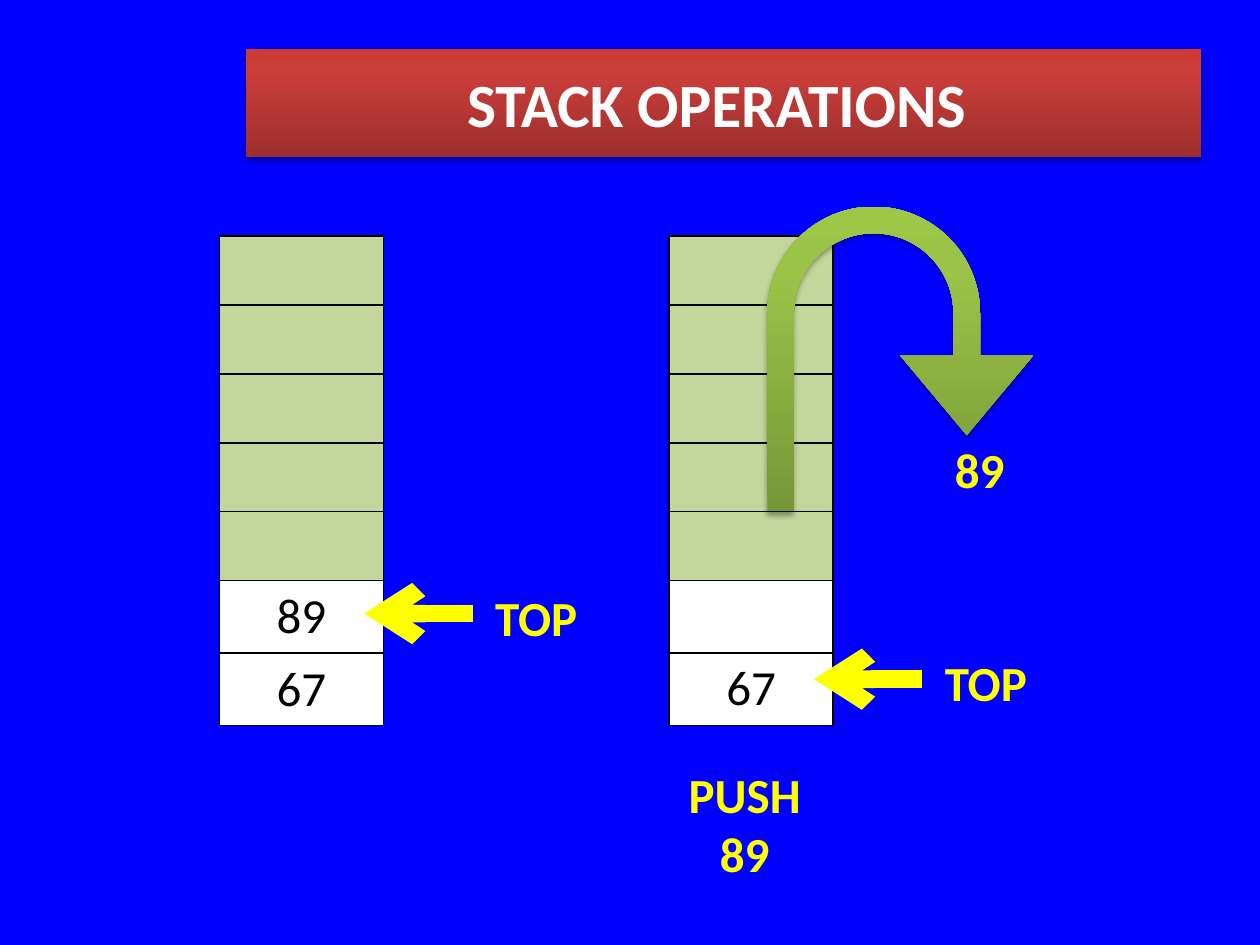
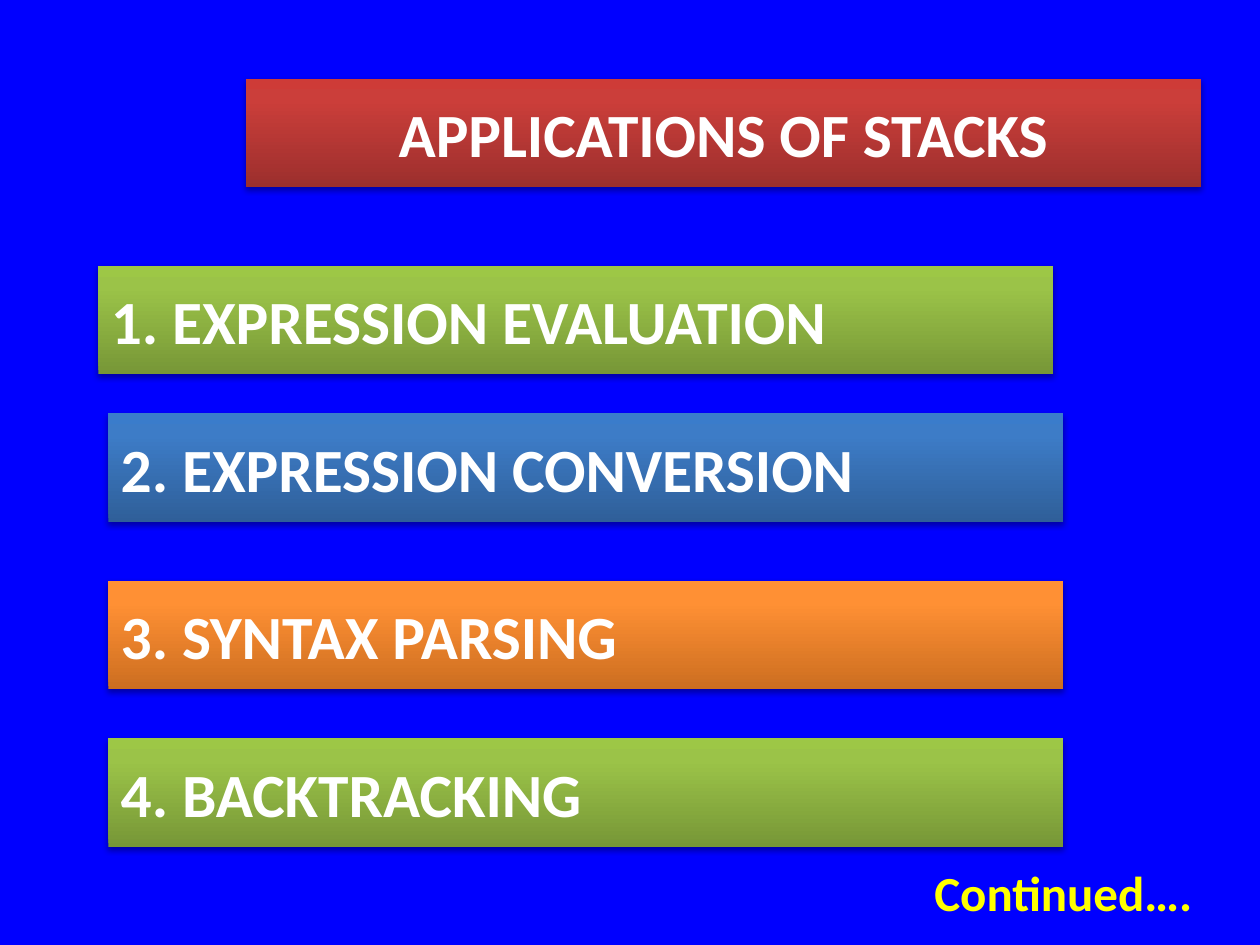
import copy
from dataclasses import dataclass

import lxml.etree
import pptx
import pptx.dml.color
import pptx.enum.shapes
import pptx.enum.text
import pptx.oxml.ns
import pptx.util

Pt = pptx.util.Pt
qn = pptx.oxml.ns.qn
Align = pptx.enum.text.PP_ALIGN
Shape = pptx.enum.shapes.MSO_SHAPE


@dataclass(frozen=True)
class Theme:
    font: str = "Calibri"
    banner_size: float = 35.1
    label_size: float = 28
    background: str = "0000FF"
    label: str = "FFFF00"
    banner_text: str = "FFFFFF"
    cell_text: str = "000000"
    border: str = "000000"
    free_cell: str = "C3D69B"
    used_cell: str = "FFFFFF"
    # Gradients run from the bottom edge (0) to the top edge (1)
    red: tuple = ("9C2F2D", "CB3E3A", "CE3B37")
    green: tuple = ("779737", "9BC348", "9DC746")
    blue: tuple = ("2F5F99", "3D7CC7", "3A7CCB")
    orange: tuple = ("CC6E20", "FF9034", "FF9136")
    stops: tuple = (0, 0.8, 1)


THEME = Theme()

# Content
STACK_TITLE = ("STACK OPERATIONS ", 28.1)
FREE_ROWS = 5
STACKS = [  # left edge, used cells, top of the TOP label
    (125.3, ["89", "67"], 331.9),
    (382.3, ["", "67"], 369.4),
]
PUSH_LABEL = ("PUSH 89", 369.4, 433.4, 112.3, 75)
POPPED_LABEL = ("89", 517.7, 247.7, 84.2, 41)
UTURN_FRAME = (438.5, 118.1, 151.9, 174.2)
UTURN_ADJUSTMENTS = (0.1, 0.25, 0.3, 0.44, 0.75)

APPLICATIONS_TITLE = ("APPLICATIONS OF STACKS", 44.9)
APPLICATIONS = [  # wording, left, top, gradient
    ("1. EXPRESSION EVALUATION", 56.2, 151.9, THEME.green),
    ("2. EXPRESSION CONVERSION", 61.9, 236.2, THEME.blue),
    ("3. SYNTAX PARSING", 61.9, 331.9, THEME.orange),
    ("4. BACKTRACKING", 61.9, 421.9, THEME.green),
]
CONTINUED_LABEL = ("Continued….", 523.4, 489.6, 168.5, 41)

# Layout
TITLE_LEFT = 140.4
BANNER_WIDTH, BANNER_HEIGHT = 545.8, 61.9
HANGING_INDENT = 40.3
STACK_TOP, STACK_WIDTH = 134.9, 93.8
FREE_HEIGHT, USED_HEIGHT = 39.4, 41.4
TOP_OFFSET, TOP_WIDTH, TOP_HEIGHT = 139, 84.2, 41
POINTER_INSET, POINTER_DROP, POINTER_LENGTH = 5.8, 18.7, 62


def rgb(value):
    return pptx.dml.color.RGBColor.from_string(value)


def points(*values):
    return [Pt(value) for value in values]


def add_xml(parent, tag, **attributes):
    element = lxml.etree.SubElement(parent, qn(tag))
    for name, value in attributes.items():
        element.set(name, str(value))
    return element


def write(frame, text, size, color, bold=True, align=Align.CENTER):
    frame.text = text
    para = frame.paragraphs[0]
    para.alignment = align
    para.font.size = Pt(size)
    for span in para.runs:
        span.font.name = THEME.font
        span.font.size = Pt(size)
        span.font.bold = bold
        span.font.color.rgb = rgb(color)
    return para


def add_page(deck):
    page = deck.slides.add_slide(deck.slide_layouts[6])
    page.background.fill.solid()
    page.background.fill.fore_color.rgb = rgb(THEME.background)
    return page


def add_glossy_shape(page, kind, frame, gradient):
    """Add a borderless shape with a three-stop gradient and a soft shadow."""
    shape = page.shapes.add_shape(kind, *points(*frame))
    shape.line.fill.background()
    shape.fill.gradient()
    shape.fill.gradient_angle = 90
    properties = shape._element.spPr
    stop_list = properties.find(".//" + qn("a:gsLst"))
    stop_list.append(copy.deepcopy(stop_list[0]))
    for stop, place, color in zip(shape.fill.gradient_stops, THEME.stops, gradient):
        stop.position = place
        stop.color.rgb = rgb(color)

    shape.shadow.inherit = False
    shadow = add_xml(properties.find(qn("a:effectLst")), "a:outerShdw",
                     blurRad=Pt(3.1), dist=Pt(1.8), dir=90 * 60000, rotWithShape=0)
    shade = add_xml(shadow, "a:srgbClr", val="000000")
    add_xml(shade, "a:alpha", val=35000)
    return shape


def add_banner(page, text, left, top, gradient, align=Align.LEFT):
    frame = (left, top, BANNER_WIDTH, BANNER_HEIGHT)
    banner = add_glossy_shape(page, Shape.RECTANGLE, frame, gradient)
    banner.text_frame.vertical_anchor = pptx.enum.text.MSO_ANCHOR.MIDDLE
    para = write(banner.text_frame, text, THEME.banner_size, THEME.banner_text, align=align)
    indent = para._p.get_or_add_pPr()
    indent.set("marL", str(Pt(HANGING_INDENT)))
    indent.set("indent", str(-Pt(HANGING_INDENT)))


def add_title(page, text, top):
    add_banner(page, text, TITLE_LEFT, top, THEME.red, Align.CENTER)


def add_label(page, text, *frame):
    box = page.shapes.add_textbox(*points(*frame))
    box.text_frame.word_wrap = True
    write(box.text_frame, text, THEME.label_size, THEME.label)


def add_pointer(page, start, end, level):
    pointer = page.shapes.add_connector(
        pptx.enum.shapes.MSO_CONNECTOR.STRAIGHT, *points(start, level, end, level))
    pointer.line.color.rgb = rgb(THEME.label)
    pointer.line.width = Pt(10)
    add_xml(pointer.line._get_or_add_ln(), "a:tailEnd", type="arrow")
    add_xml(pointer._element.spPr, "a:effectLst")


def style_cell(cell, fill):
    properties = cell._tc.get_or_add_tcPr()
    for side in ("a:lnL", "a:lnR", "a:lnT", "a:lnB"):
        line = add_xml(properties, side, w=Pt(1))
        add_xml(add_xml(line, "a:solidFill"), "a:srgbClr", val=THEME.border)
    cell.fill.solid()
    cell.fill.fore_color.rgb = rgb(fill)


def add_stack(page, left, used):
    values = [""] * FREE_ROWS + used
    height = FREE_ROWS * FREE_HEIGHT + len(used) * USED_HEIGHT
    table = page.shapes.add_table(
        len(values), 1, *points(left, STACK_TOP, STACK_WIDTH, height)).table
    table.first_row = table.horz_banding = False
    for index, value in enumerate(values):
        free = index < FREE_ROWS
        table.rows[index].height = Pt(FREE_HEIGHT if free else USED_HEIGHT)
        cell = table.cell(index, 0)
        style_cell(cell, THEME.free_cell if free else THEME.used_cell)
        if value:
            write(cell.text_frame, value, THEME.label_size, THEME.cell_text, bold=False)


def add_top_marker(page, stack_left, top):
    left = stack_left + TOP_OFFSET
    add_label(page, "TOP", left, top, TOP_WIDTH, TOP_HEIGHT)
    start = left + POINTER_INSET
    add_pointer(page, start, start - POINTER_LENGTH, top + POINTER_DROP)


def build_operations(deck):
    page = add_page(deck)
    add_title(page, *STACK_TITLE)
    for left, used, marker_top in STACKS:
        add_stack(page, left, used)
        add_top_marker(page, left, marker_top)
    add_label(page, *PUSH_LABEL)
    uturn = add_glossy_shape(page, Shape.U_TURN_ARROW, UTURN_FRAME, THEME.green)
    for index, value in enumerate(UTURN_ADJUSTMENTS):
        uturn.adjustments[index] = value
    add_label(page, *POPPED_LABEL)


def build_applications(deck):
    page = add_page(deck)
    add_title(page, *APPLICATIONS_TITLE)
    for application in APPLICATIONS:
        add_banner(page, *application)
    add_label(page, *CONTINUED_LABEL)


def main():
    deck = pptx.Presentation()
    deck.slide_width, deck.slide_height = points(720, 540)
    build_operations(deck)
    build_applications(deck)
    deck.save("out.pptx")


if __name__ == "__main__":
    main()
